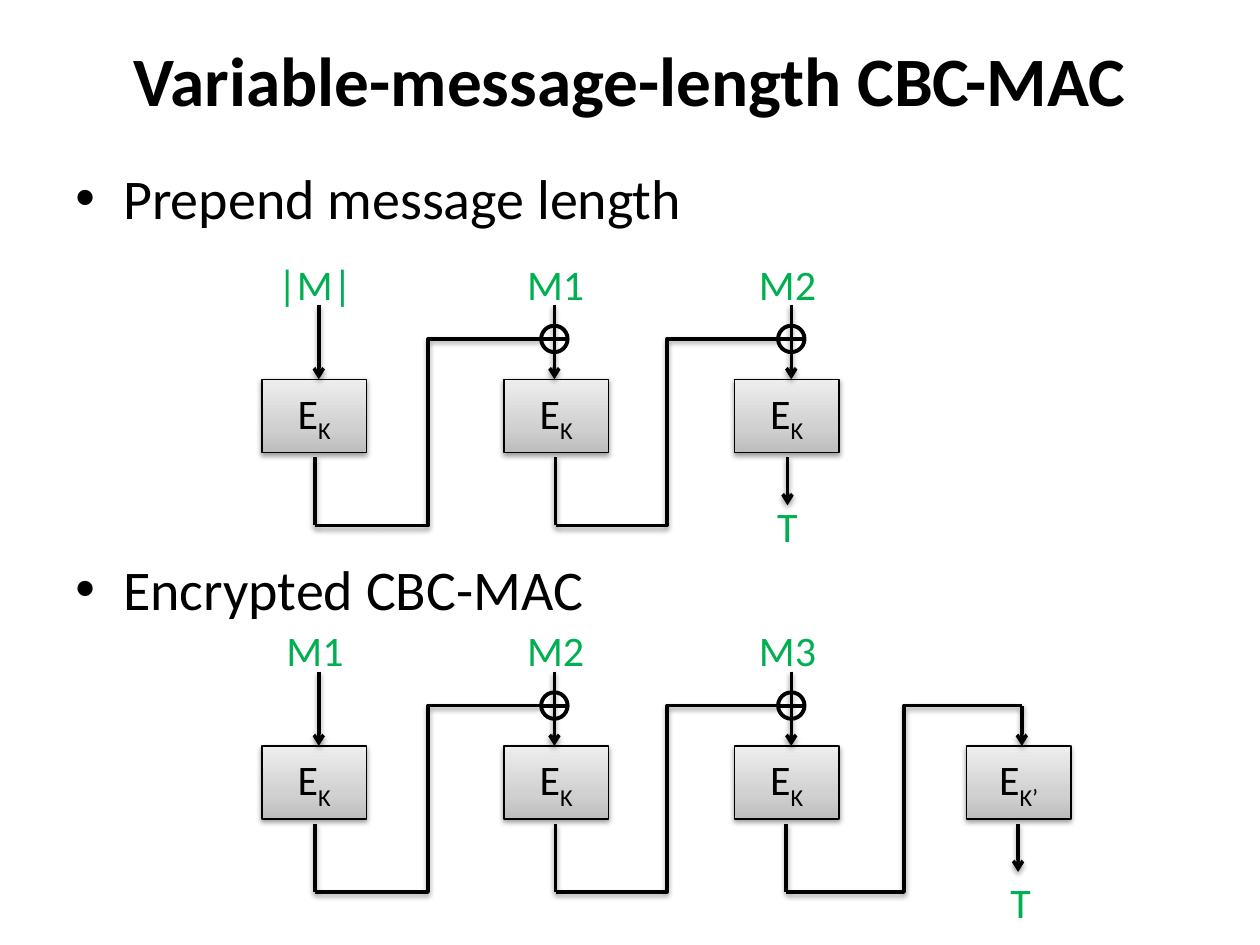
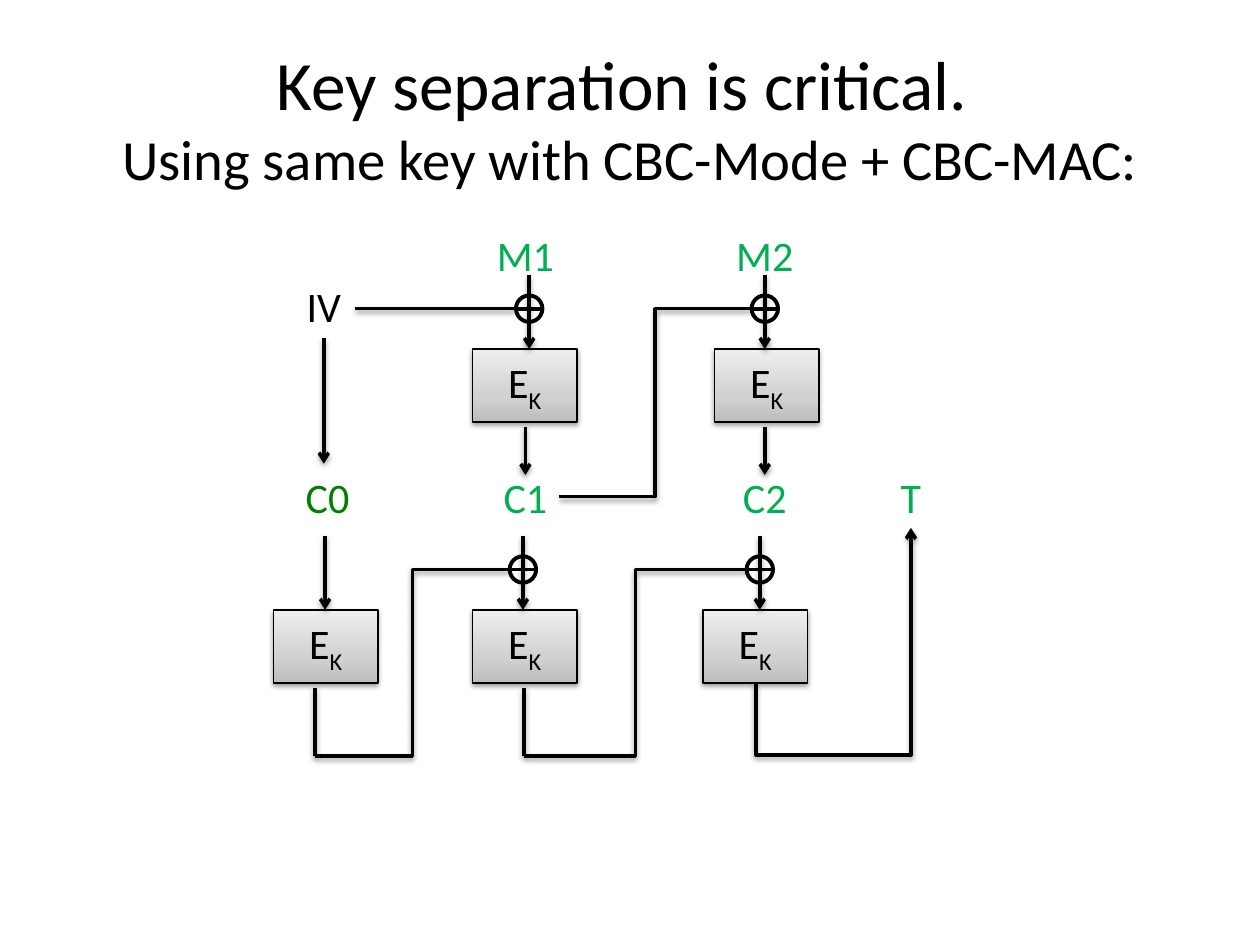
from lxml.etree import SubElement
from pptx import Presentation
from pptx.dml.color import RGBColor
from pptx.enum.shapes import MSO_CONNECTOR, MSO_SHAPE
from pptx.enum.text import MSO_ANCHOR, PP_ALIGN
from pptx.oxml.ns import qn
from pptx.util import Inches, Pt

COLORS = {"ink": "000000", "message": "00B050", "cipher": "008000",
          "low": "BDBDBD", "mid": "D1D1D1", "high": "EEEEEE"}
FONT = "Calibri"
BOX_W, BOX_H, RING = 0.83, 0.58, 0.21
LABEL_W = 0.8
FEED, OUT, LOOP = 0.59, 0.62, 1.16
RING_UP = 0.32


def rgb(name):
    """Return the palette colour as RGBColor."""
    return RGBColor.from_string(COLORS[name])


def add_run(p, text, size, color="ink", bold=False, baseline=None):
    """Append a formatted run to a paragraph."""
    r = p.add_run()
    r.text = text
    for key, value in {"name": FONT, "size": Pt(size), "bold": bold}.items():
        setattr(r.font, key, value)
    r.font.color.rgb = rgb(color)
    if baseline:
        r.font._element.set("baseline", str(baseline))


def add_text(s, x, y, w, h, **frame):
    """Add a text box and return its text frame."""
    tf = s.shapes.add_textbox(Inches(x), Inches(y), Inches(w), Inches(h)).text_frame
    for key, value in {"word_wrap": True, **frame}.items():
        setattr(tf, key, value)
    return tf


def add_title(s, y, lines, bold=False):
    """Add a centred title whose lines are (text, size) pairs."""
    p = add_text(s, 0.5, y, 9, 1.25, vertical_anchor=MSO_ANCHOR.MIDDLE).paragraphs[0]
    p.alignment = PP_ALIGN.CENTER
    for i, (text, size) in enumerate(lines):
        if i:
            p.add_line_break()
        add_run(p, text, size, bold=bold)


def add_bullets(s, items):
    """Add bulleted paragraphs given as (text, space before) pairs."""
    tf = add_text(s, 0.5, 1.25, 9, 4.95)
    for i, (text, gap) in enumerate(items):
        p = tf.add_paragraph() if i else tf.paragraphs[0]
        p.space_before = Pt(gap)
        add_run(p, text, 32)
        pPr = p._p.get_or_add_pPr()
        pPr.set("marL", str(Inches(0.38)))
        pPr.set("indent", str(-Inches(0.38)))
        SubElement(pPr, qn("a:buFont"), typeface="Arial")
        SubElement(pPr, qn("a:buChar"), char="•")


def add_label(s, text, x, y, color="message"):
    """Add a short one-line label centred on x."""
    p = add_text(s, x - LABEL_W / 2, y, LABEL_W, 0.5, word_wrap=False,
                 margin_left=0, margin_right=0).paragraphs[0]
    p.alignment = PP_ALIGN.CENTER
    add_run(p, text, 24, color)


def set_effects(shape, shadow):
    """Give a shape or connector a soft drop shadow, or none."""
    effects = SubElement(shape._element.spPr, qn("a:effectLst"))
    if shadow:
        outer = SubElement(effects, qn("a:outerShdw"), blurRad=str(Pt(3.1)),
                           dist=str(Pt(1.6)), dir="5400000", rotWithShape="0")
        black = SubElement(outer, qn("a:srgbClr"), val=COLORS["ink"])
        SubElement(black, qn("a:alpha"), val="38000")


def set_line(shape, width):
    """Draw the outline in ink."""
    shape.line.color.rgb = rgb("ink")
    shape.line.width = Pt(width)


def add_line(s, start, end, arrow=False, elbow=False, width=2, shadow=True):
    """Connect two points with a straight or elbow line."""
    kind = MSO_CONNECTOR.ELBOW if elbow else MSO_CONNECTOR.STRAIGHT
    c = s.shapes.add_connector(kind, *(Inches(v) for v in (*start, *end)))
    set_line(c, width)
    if arrow:
        SubElement(c.line._get_or_add_ln(), qn("a:tailEnd"), type="arrow")
    set_effects(c, shadow)
    return c


def add_cipher(s, x, y, key="K"):
    """Add an encryption box labelled E with its key as subscript."""
    sp = s.shapes.add_shape(MSO_SHAPE.RECTANGLE, Inches(x), Inches(y),
                            Inches(BOX_W), Inches(BOX_H))
    sp.fill.gradient()
    sp.fill.gradient_angle = 90
    stops = sp._element.spPr.find(".//" + qn("a:gsLst"))
    stops.clear()
    for pos, name in ((0, "low"), (35, "mid"), (100, "high")):
        stop = SubElement(stops, qn("a:gs"), pos=str(pos * 1000))
        SubElement(stop, qn("a:srgbClr"), val=COLORS[name])
    set_line(sp, 0.75)
    set_effects(sp, True)
    sp.text_frame.vertical_anchor = MSO_ANCHOR.MIDDLE
    p = sp.text_frame.paragraphs[0]
    p.alignment = PP_ALIGN.CENTER
    add_run(p, "E", 24)
    add_run(p, key, 24, baseline=-25000)


def add_feed(s, x, y, xor=True):
    """Add the arrow into a box top at y, with an XOR ring if asked."""
    add_line(s, (x, y - FEED), (x, y), arrow=True)
    if xor:
        mid, half = y - RING_UP, RING / 2
        sp = s.shapes.add_shape(MSO_SHAPE.OVAL, Inches(x - half), Inches(mid - half),
                                Inches(RING), Inches(RING))
        sp.fill.background()
        set_line(sp, 2.25)
        set_effects(sp, False)
        add_line(s, (x - half, mid), (x + half, mid), width=2.25, shadow=False)


def add_output(s, x, y):
    """Add the short arrow leaving a box whose top is y."""
    add_line(s, (x, y + OUT), (x, y + OUT + 0.38), arrow=True)


def add_feedback(s, x, end, y):
    """Lead a box's output down, across and up to the next input."""
    add_line(s, (x, y + OUT), (x, y + LOOP))
    add_line(s, (x, y + LOOP), (end, y - RING_UP), elbow=True)


def add_chain(s, y, boxes, feeds, loops):
    """Draw a three-box CBC chain whose boxes have their top at y."""
    for i, (box, feed) in enumerate(zip(boxes, feeds)):
        add_cipher(s, box, y)
        add_feed(s, feed, y, xor=i > 0)
    for start, feed in zip(loops, feeds[1:]):
        add_feedback(s, start, feed - RING / 2, y)


def build_variable_length(s):
    """Build the slide with the two variable-length constructions."""
    add_title(s, 0, [("Variable-message-length CBC-MAC", 39.6)], bold=True)
    add_bullets(s, [("Prepend message length", 0), ("Encrypted CBC-MAC", 185)])
    top, bottom = 3.01, 5.92
    for y, labels in ((top, ("|M|", "M1", "M2")), (bottom, ("M1", "M2", "M3"))):
        add_chain(s, y, (2.08, 4, 5.83), (2.53, 4.4, 6.28), (2.5, 4.41))
        for text, x in zip(labels, (2.5, 4.41, 6.25)):
            add_label(s, text, x, y - 1.01)
    add_output(s, 6.25, top)
    add_label(s, "T", 6.25, top + 0.91)
    add_cipher(s, 7.67, bottom, "K’")
    add_feedback(s, 6.24, 8.11, bottom)
    add_line(s, (8.11, bottom - RING_UP), (8.11, bottom), arrow=True)
    add_output(s, 8.08, bottom)
    add_label(s, "T", 8.1, bottom + 0.99)


def build_key_separation(s):
    """Build the slide that shares one key between CBC mode and CBC-MAC."""
    add_title(s, 0.3, [("Key separation is critical. ", 39.6),
                       ("Using same key with CBC-Mode + CBC-MAC:", 32.4)])
    mode, mac, row = 2.77, 4.84, 3.69
    for n, box, feed, out in ((1, 3.75, 4.2, 4.17), (2, 5.67, 6.07, 6.07)):
        add_cipher(s, box, mode)
        add_feed(s, feed, mode)
        add_output(s, out, mode)
        add_label(s, f"M{n}", out, mode - 1)
        add_label(s, f"C{n}", out, row)
    add_label(s, "IV", 2.57, 2.18, "ink")
    add_label(s, "C0", 2.6, row, "cipher")
    add_label(s, "T", 7.23, row)
    add_line(s, (2.82, 2.45), (4.09, 2.45))
    add_line(s, (2.57, 2.68), (2.57, 3.68), arrow=True)
    add_line(s, (4.44, 3.94), (5.96, 2.45), elbow=True)
    add_chain(s, mac, (2.17, 3.75, 5.58), (2.58, 4.15, 6.03), (2.5, 4.16))
    c = add_line(s, (6, 5.42), (7.23, 4.19), arrow=True, elbow=True)
    for key, value in {"rot": "5400000", "flipH": "1", "flipV": "1"}.items():
        c._element.spPr.find(qn("a:xfrm")).set(key, value)
    guides = c._element.spPr.find(qn("a:prstGeom")).get_or_add_avLst()
    SubElement(guides, qn("a:gd"), name="adj1", fmla="val -46500")


def main():
    """Build and save the presentation."""
    prs = Presentation()
    prs.slide_width, prs.slide_height = Inches(10), Inches(7.5)
    for build in (build_variable_length, build_key_separation):
        build(prs.slides.add_slide(prs.slide_layouts[6]))
    prs.save("out.pptx")


main()
